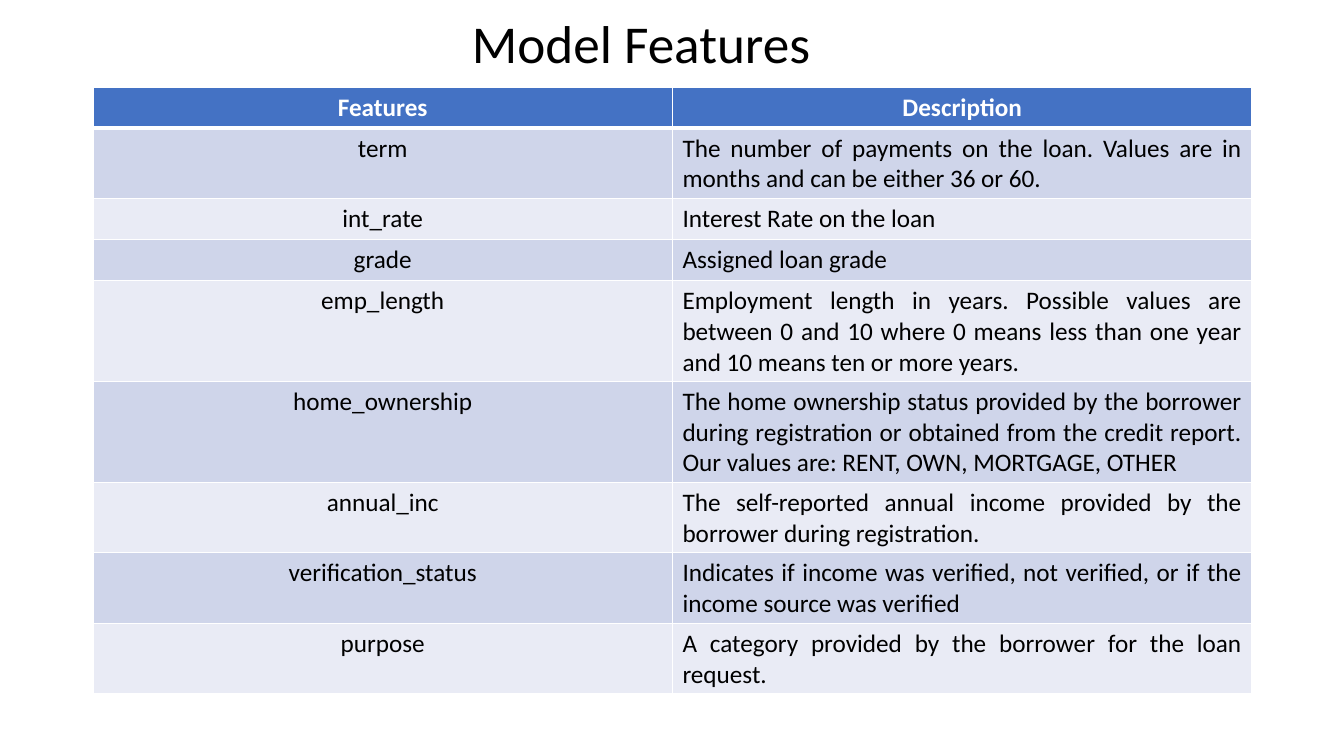
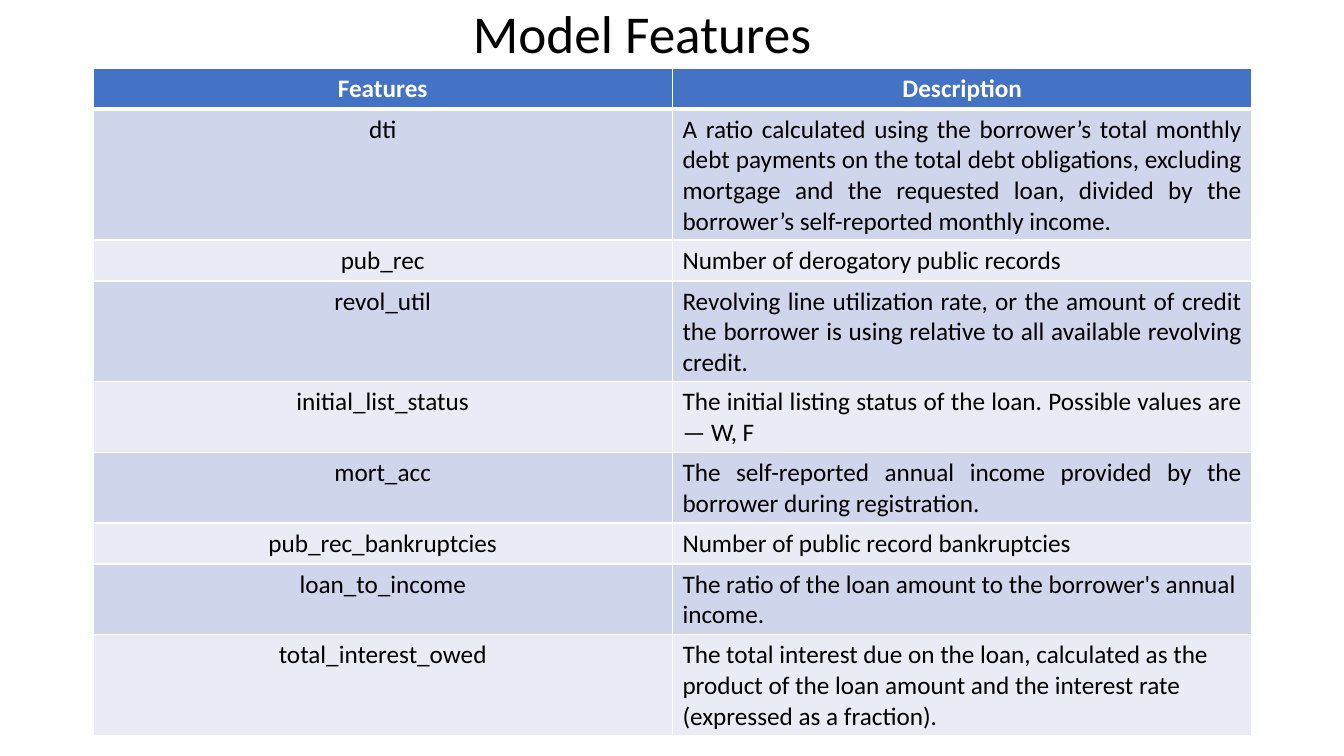
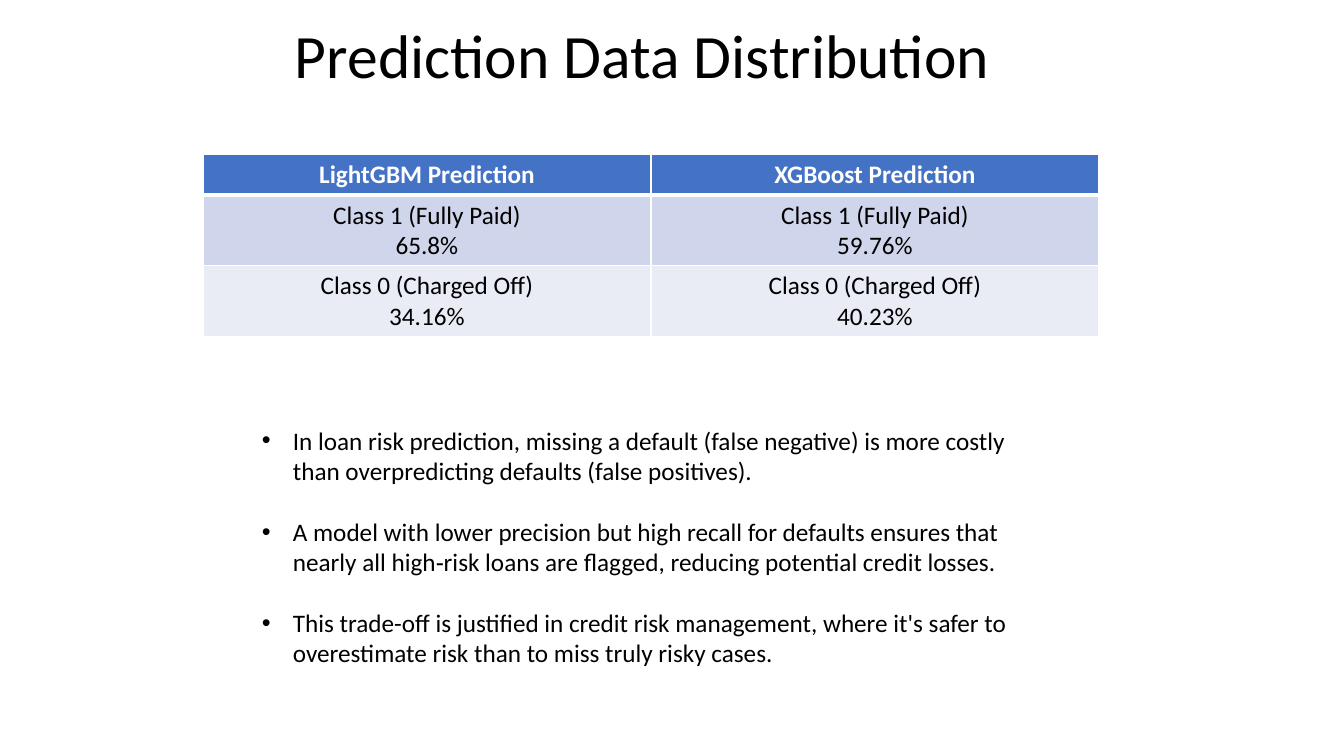
from dataclasses import dataclass

from lxml.etree import SubElement
from pptx import Presentation
from pptx.dml.color import RGBColor
from pptx.enum.text import MSO_ANCHOR, PP_ALIGN as Align
from pptx.oxml.ns import qn
from pptx.util import Emu, Pt

PX_PER_INCH = 100.8
FONT = "Calibri"
BODY_SIZE = 18
BODY_LINE = 22
HEADER_HEIGHT = ROW_HEIGHT = 41
BULLET_INDENT = 31
COLORS = {
    "text": "000000",
    "white": "FFFFFF",
    "header": "4472C4",
    "odd_row": "CFD5EA",
    "even_row": "E9EBF5",
}


@dataclass(frozen=True)
class Box:
    left: int
    top: int
    width: int
    height: int


@dataclass(frozen=True)
class Title:
    text: str
    left: int
    top: int
    size: int = 38


@dataclass(frozen=True)
class Row:
    first: str
    second: str
    second_align: Align = Align.JUSTIFY


@dataclass(frozen=True)
class Table:
    left: int
    top: int
    width: int
    header: Row
    rows: list[Row]


FEATURE_HEADER = Row("Features", "Description", Align.CENTER)

LOAN_FEATURES = [
    Row("term", "The number of payments on the loan. Values are in months "
        "and can be either 36 or 60."),
    Row("int_rate", "Interest Rate on the loan"),
    Row("grade", "Assigned loan grade"),
    Row("emp_length", "Employment length in years. Possible values are between "
        "0 and 10 where 0 means less than one year and 10 means ten or more years."),
    Row("home_ownership", "The home ownership status provided by the borrower "
        "during registration or obtained from the credit report. "
        "Our values are: RENT, OWN, MORTGAGE, OTHER"),
    Row("annual_inc", "The self-reported annual income provided by the borrower "
        "during registration."),
    Row("verification_status", "Indicates if income was verified, not verified, "
        "or if the income source was verified"),
    Row("purpose", "A category provided by the borrower for the loan request."),
]

CREDIT_FEATURES = [
    Row("dti", "A ratio calculated using the borrower’s total monthly debt payments "
        "on the total debt obligations, excluding mortgage and the requested loan, "
        "divided by the borrower’s self-reported monthly income."),
    Row("pub_rec", "Number of derogatory public records"),
    Row("revol_util", "Revolving line utilization rate, or the amount of credit "
        "the borrower is using relative to all available revolving credit."),
    Row("initial_list_status", "The initial listing status of the loan. "
        "Possible values are — W, F"),
    Row("mort_acc", "The self-reported annual income provided by the borrower "
        "during registration."),
    Row("pub_rec_bankruptcies", "Number of public record bankruptcies"),
    Row("loan_to_income", "The ratio of the loan amount to the borrower's annual "
        "income.", Align.LEFT),
    Row("total_interest_owed", "The total interest due on the loan, calculated as "
        "the product of the loan amount and the interest rate "
        "(expressed as a fraction).", Align.LEFT),
]

PREDICTION_HEADER = Row("LightGBM Prediction", "XGBoost Prediction", Align.CENTER)
PREDICTIONS = [
    Row("Class 1 (Fully Paid)\n65.8%", "Class 1 (Fully Paid)\n59.76%", Align.CENTER),
    Row("Class 0 (Charged Off)\n34.16%", "Class 0 (Charged Off)\n40.23%", Align.CENTER),
]

TAKEAWAYS = [
    "In loan risk prediction, missing a default (false negative) is more costly "
    "than overpredicting defaults (false positives).",
    "A model with lower precision but high recall for defaults ensures that nearly "
    "all high‑risk loans are flagged, reducing potential credit losses.",
    "This trade-off is justified in credit risk management, where it's safer to "
    "overestimate risk than to miss truly risky cases.",
]

FEATURE_SLIDES = [
    (Title("Model Features", 462, -27),
     Table(93, 87, 1159, FEATURE_HEADER, LOAN_FEATURES)),
    (Title("Model Features", 463, -37),
     Table(93, 68, 1159, FEATURE_HEADER, CREDIT_FEATURES)),
]
PREDICTION_TITLE = Title("Prediction Data Distribution", 285, -14, 44)
PREDICTION_TABLE = Table(203, 154, 896, PREDICTION_HEADER, PREDICTIONS)


def px(length: int) -> Emu:
    return Emu(round(length * 914400 / PX_PER_INCH))


def rgb(name: str) -> RGBColor:
    return RGBColor.from_string(COLORS[name])


def write_text(frame, text: str, *, size: int = BODY_SIZE, color: str = "text",
               bold: bool = False, align: Align = Align.LEFT,
               line_spacing: float = 1.0, gap: int = 0, bullet: str = "") -> None:
    """Fill a text frame, one paragraph per line of text."""
    frame.word_wrap = True
    for index, line in enumerate(text.split("\n")):
        paragraph = frame.add_paragraph() if index else frame.paragraphs[0]
        paragraph.alignment = align
        paragraph.line_spacing = line_spacing
        paragraph.space_before = Pt(gap if index else 0)
        run = paragraph.add_run()
        run.text = line
        run.font.name = FONT
        run.font.size = Pt(size)
        run.font.bold = bold
        run.font.color.rgb = rgb(color)
        if bullet:
            properties = paragraph._p.get_or_add_pPr()
            properties.set("marL", str(px(BULLET_INDENT)))
            properties.set("indent", str(-px(BULLET_INDENT)))
            SubElement(properties, qn("a:buFont"), typeface="Arial")
            SubElement(properties, qn("a:buChar"), char=bullet)


def add_text_box(slide, box: Box, text: str, *,
                 anchor: MSO_ANCHOR = MSO_ANCHOR.TOP, **text_format) -> None:
    frame = slide.shapes.add_textbox(
        px(box.left), px(box.top), px(box.width), px(box.height)).text_frame
    frame.vertical_anchor = anchor
    write_text(frame, text, **text_format)


def add_title(slide, title: Title) -> None:
    add_text_box(slide, Box(title.left, title.top, 1159, 146), title.text,
                 anchor=MSO_ANCHOR.MIDDLE, size=title.size, line_spacing=0.9)


def set_borders(cell, top: int, bottom: int) -> None:
    """Draw white cell borders; top and bottom are widths in points."""
    properties = cell._tc.get_or_add_tcPr()
    for side, width in (("L", 1), ("R", 1), ("T", top), ("B", bottom)):
        line = SubElement(properties, qn(f"a:ln{side}"), w=str(Pt(width)))
        fill = SubElement(line, qn("a:solidFill"))
        SubElement(fill, qn("a:srgbClr"), val=COLORS["white"])


def add_table(slide, table: Table) -> None:
    rows = [table.header, *table.rows]
    grid = slide.shapes.add_table(
        len(rows), 2, px(table.left), px(table.top), px(table.width),
        px(ROW_HEIGHT * len(rows))).table
    for index, row in enumerate(rows):
        is_header = index == 0
        fill = "header" if is_header else "odd_row" if index % 2 else "even_row"
        columns = ((row.first, Align.CENTER), (row.second, row.second_align))
        for column, (text, align) in enumerate(columns):
            cell = grid.cell(index, column)
            set_borders(cell, top=3 if index == 1 else 1, bottom=3 if is_header else 1)
            cell.fill.solid()
            cell.fill.fore_color.rgb = rgb(fill)
            write_text(cell.text_frame, text, align=align, bold=is_header,
                       color="white" if is_header else "text")


def main() -> None:
    deck = Presentation()
    deck.slide_width, deck.slide_height = px(1344), px(756)
    blank = deck.slide_layouts[6]
    for title, table in [*FEATURE_SLIDES, (PREDICTION_TITLE, PREDICTION_TABLE)]:
        slide = deck.slides.add_slide(blank)
        add_title(slide, title)
        add_table(slide, table)
    add_text_box(slide, Box(252, 420, 798, 254), "\n".join(TAKEAWAYS),
                 gap=BODY_LINE, bullet="•")
    deck.save("out.pptx")


if __name__ == "__main__":
    main()
